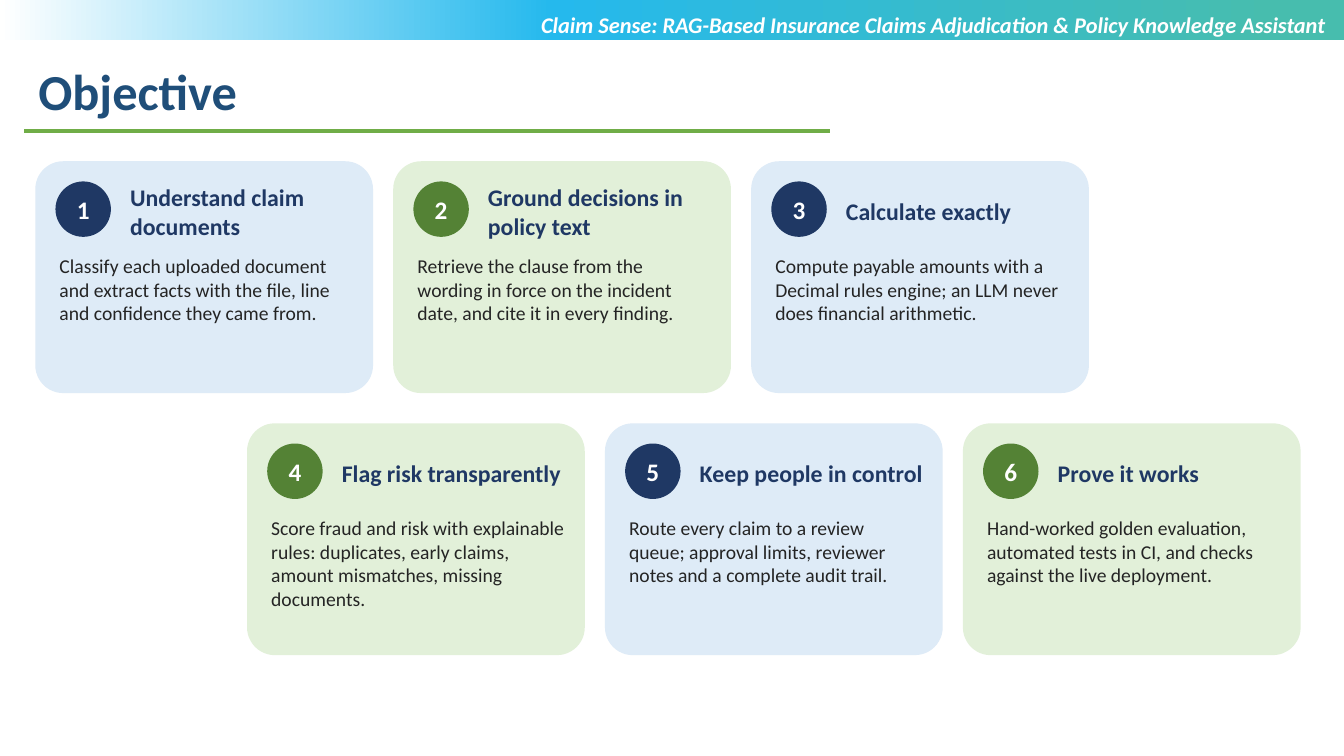
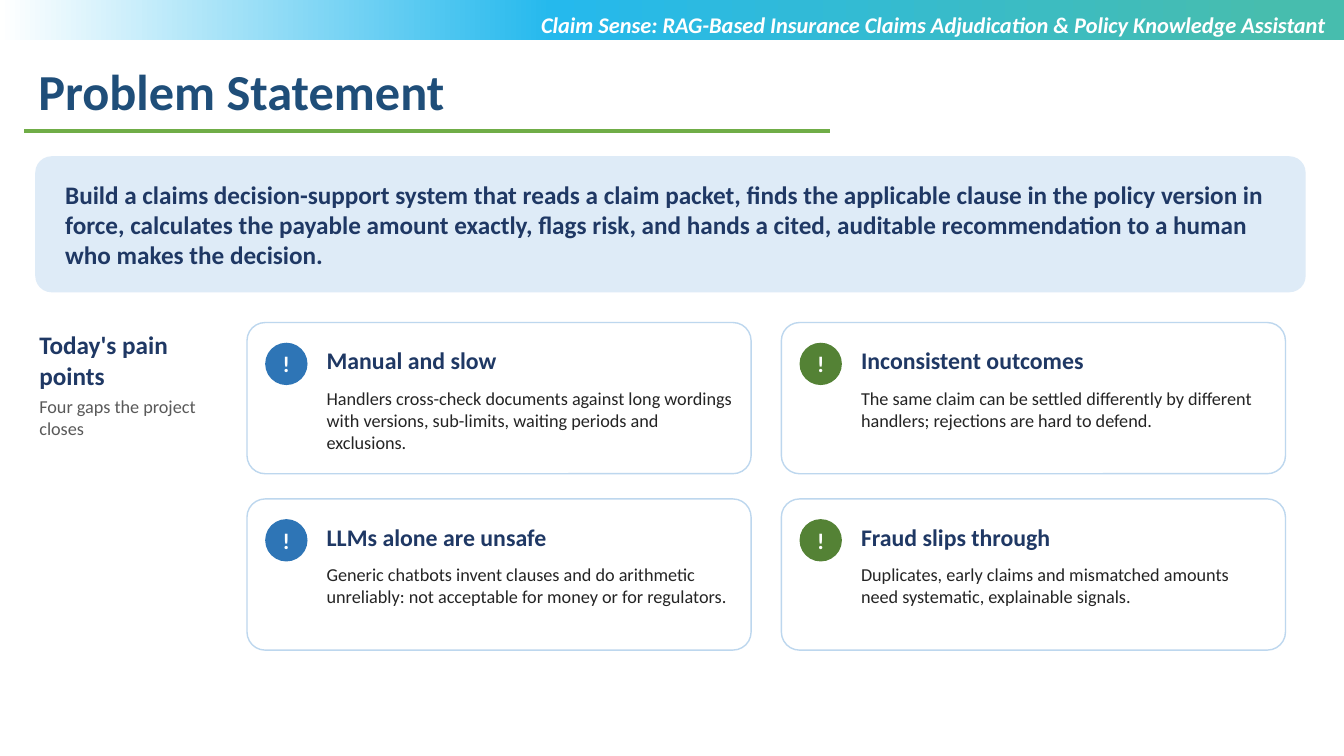
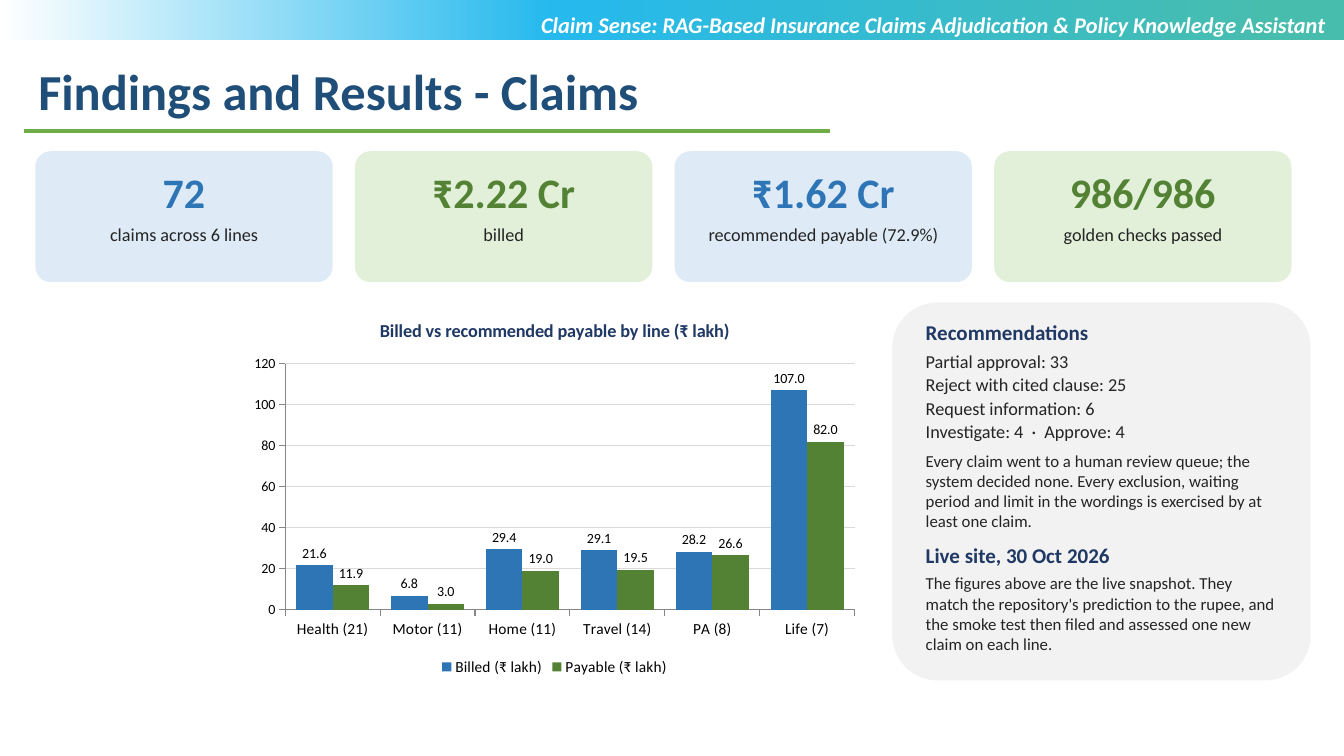
from typing import NamedTuple

from lxml import etree
from pptx import Presentation
from pptx.chart.data import CategoryChartData
from pptx.dml.color import RGBColor
from pptx.enum.chart import XL_CHART_TYPE, XL_LABEL_POSITION, XL_LEGEND_POSITION
from pptx.enum.shapes import MSO_CONNECTOR, MSO_SHAPE
from pptx.enum.text import MSO_ANCHOR, MSO_AUTO_SIZE, PP_ALIGN
from pptx.oxml.ns import qn
from pptx.util import Inches, Pt

RECT, ROUNDED, OVAL = MSO_SHAPE.RECTANGLE, MSO_SHAPE.ROUNDED_RECTANGLE, MSO_SHAPE.OVAL
LEFT, CENTER, RIGHT = PP_ALIGN.LEFT, PP_ALIGN.CENTER, PP_ALIGN.RIGHT
TOP, MIDDLE = MSO_ANCHOR.TOP, MSO_ANCHOR.MIDDLE
GROW, FIXED = MSO_AUTO_SIZE.SHAPE_TO_FIT_TEXT, MSO_AUTO_SIZE.NONE
COLUMNS = XL_CHART_TYPE.COLUMN_CLUSTERED
OUTSIDE_END = XL_LABEL_POSITION.OUTSIDE_END
LEGEND_BOTTOM = XL_LEGEND_POSITION.BOTTOM

FONT = "Calibri"
WHITE = RGBColor(0xFF, 0xFF, 0xFF)
BLACK = RGBColor(0x00, 0x00, 0x00)
INK = RGBColor(0x24, 0x24, 0x24)
GRAY = RGBColor(0x59, 0x59, 0x59)
GRID_GRAY = RGBColor(0xD9, 0xD9, 0xD9)
PANEL_GRAY = RGBColor(0xF2, 0xF2, 0xF2)
TITLE_BLUE = RGBColor(0x1F, 0x4E, 0x79)
NAVY = RGBColor(0x1F, 0x38, 0x64)
BLUE = RGBColor(0x2E, 0x75, 0xB6)
SKY = RGBColor(0xBD, 0xD7, 0xEE)
PALE_BLUE = RGBColor(0xDE, 0xEB, 0xF7)
GREEN = RGBColor(0x54, 0x82, 0x35)
PALE_GREEN = RGBColor(0xE2, 0xF0, 0xD9)
RULE_GREEN = RGBColor(0x70, 0xAD, 0x47)
BAND_STOPS = ((5, "47BDAE"), (59, "25B9ED"), (100, "FFFFFF"))

PROJECT = "Claim Sense: RAG-Based Insurance Claims Adjudication & Policy Knowledge Assistant"
TIGHT = (0.04, 0.02)
SHAPE_INSETS = (0.08, 0.04)
DEFAULT_INSETS = (0.1, 0.05)

OBJECTIVES = [
    ("Understand claim documents",
     "Classify each uploaded document and extract facts with the file, line and "
     "confidence they came from."),
    ("Ground decisions in policy text",
     "Retrieve the clause from the wording in force on the incident date, and cite it "
     "in every finding."),
    ("Calculate exactly",
     "Compute payable amounts with a Decimal rules engine; an LLM never does financial "
     "arithmetic."),
    ("Flag risk transparently",
     "Score fraud and risk with explainable rules: duplicates, early claims, amount "
     "mismatches, missing documents."),
    ("Keep people in control",
     "Route every claim to a review queue; approval limits, reviewer notes and a "
     "complete audit trail."),
    ("Prove it works",
     "Hand-worked golden evaluation, automated tests in CI, and checks against the live "
     "deployment."),
]
PROBLEM = (
    "Build a claims decision-support system that reads a claim packet, finds the "
    "applicable clause in the policy version in force, calculates the payable amount "
    "exactly, flags risk, and hands a cited, auditable recommendation to a human who "
    "makes the decision.")
PAIN_POINTS = [
    ("Manual and slow",
     "Handlers cross-check documents against long wordings with versions, sub-limits, "
     "waiting periods and exclusions."),
    ("Inconsistent outcomes",
     "The same claim can be settled differently by different handlers; rejections are "
     "hard to defend."),
    ("LLMs alone are unsafe",
     "Generic chatbots invent clauses and do arithmetic unreliably: not acceptable for "
     "money or for regulators."),
    ("Fraud slips through",
     "Duplicates, early claims and mismatched amounts need systematic, explainable "
     "signals."),
]
METRICS = [
    ("72", "claims across 6 lines"),
    ("₹2.22 Cr", "billed"),
    ("₹1.62 Cr", "recommended payable (72.9%)"),
    ("986/986", "golden checks passed"),
]
CLAIM_LINES = ["Health (21)", "Motor (11)", "Home (11)", "Travel (14)", "PA (8)", "Life (7)"]
CLAIM_AMOUNTS = [
    ("Billed (₹ lakh)", BLUE, (21.6, 6.8, 29.4, 29.1, 28.2, 107)),
    ("Payable (₹ lakh)", GREEN, (11.9, 3, 19, 19.5, 26.6, 82)),
]


class Para(NamedTuple):
    text: str
    size: float
    color: RGBColor = INK
    bold: bool = False
    italic: bool = False
    after: float = 0


RECOMMENDATIONS = [
    Para("Recommendations", 15, NAVY, True, after=4),
    Para("Partial approval: 33", 13, after=1),
    Para("Reject with cited clause: 25", 13, after=1),
    Para("Request information: 6", 13, after=1),
    Para("Investigate: 4  ·  Approve: 4", 13, after=6),
    Para("Every claim went to a human review queue; the system decided none. Every "
         "exclusion, waiting period and limit in the wordings is exercised by at least "
         "one claim.", 12, after=8),
    Para("Live site, 30 Oct 2026", 15, NAVY, True, after=4),
    Para("The figures above are the live snapshot. They match the repository's "
         "prediction to the rupee, and the smoke test then filed and assessed one new "
         "claim on each line.", 12),
]


def inches(*lengths):
    return [Inches(length) for length in lengths]


def style_font(font, size, color, bold=False, italic=False):
    font.name, font.size = FONT, Pt(size)
    font.bold, font.italic = bold, italic
    font.color.rgb = color


def write(frame, paras, align=LEFT, anchor=TOP, insets=SHAPE_INSETS, fit=FIXED):
    frame.word_wrap = True
    frame.auto_size = fit
    frame.vertical_anchor = anchor
    frame.margin_left = frame.margin_right = Inches(insets[0])
    frame.margin_top = frame.margin_bottom = Inches(insets[1])
    for index, para in enumerate(paras):
        paragraph = frame.add_paragraph() if index else frame.paragraphs[0]
        paragraph.alignment = align
        if para.after:
            paragraph.space_after = Pt(para.after)
        run = paragraph.add_run()
        run.text = para.text
        style_font(run.font, para.size, para.color, para.bold, para.italic)


def add_label(slide, box, *paras, align=LEFT, anchor=TOP, insets=TIGHT):
    label = slide.shapes.add_textbox(*inches(*box))
    write(label.text_frame, paras, align, anchor, insets, GROW)


def add_plain(slide, kind, box, fill, outline=None):
    """Add a shadowless shape with a solid fill and an optional thin outline."""
    shape = slide.shapes.add_shape(kind, *inches(*box))
    shape.shadow.inherit = False
    shape.fill.solid()
    shape.fill.fore_color.rgb = fill
    if outline is None:
        shape.line.fill.background()
    else:
        shape.line.color.rgb = outline
        shape.line.width = Pt(1)
    if kind == ROUNDED:
        shape.adjustments[0] = 0.12
    return shape


def add_badge(slide, left, top, diameter, mark, size, fill):
    badge = add_plain(slide, OVAL, (left, top, diameter, diameter), fill)
    write(badge.text_frame, [Para(mark, size, WHITE, True)], CENTER, MIDDLE)


def move_band_to_master(prs, slide):
    """Draw the gradient band on a slide, then hand it to the master."""
    band = add_plain(slide, RECT, (0, 0, 13.33, 0.4), WHITE)
    band.fill.gradient()
    band.fill.gradient_angle = 180
    stops = band.element.find(".//" + qn("a:gsLst"))
    for stop in list(stops):
        stops.remove(stop)
    for percent, color in BAND_STOPS:
        stop = etree.SubElement(stops, qn("a:gs"), pos=str(percent * 1000))
        etree.SubElement(stop, qn("a:srgbClr"), val=color)
    band.element.find(".//" + qn("p:cNvPr")).set("id", "100")
    prs.slide_master.element.cSld.spTree.insert(2, band.element)


def add_titled_slide(prs, title):
    slide = prs.slides.add_slide(prs.slide_layouts[5])
    heading = slide.shapes.title
    heading.left, heading.top, heading.width, heading.height = inches(0.28, 0.55, 11.62, 0.71)
    write(heading.text_frame, [Para(title, 36, TITLE_BLUE, True)],
          insets=DEFAULT_INSETS, fit=GROW)
    rule = slide.shapes.add_connector(MSO_CONNECTOR.STRAIGHT, *inches(0.24, 1.3, 8.23, 1.3))
    rule.line.color.rgb = RULE_GREEN
    rule.line.width = Pt(2.25)
    etree.SubElement(rule.element.spPr, qn("a:effectLst"))
    add_label(slide, (3.4, 0.06, 9.85, 0.71), Para(PROJECT, 16, WHITE, True, True),
              align=RIGHT, insets=DEFAULT_INSETS)
    return slide


def add_objective(slide, left, top, number, heading, detail):
    fill, accent = (PALE_BLUE, NAVY) if number % 2 else (PALE_GREEN, GREEN)
    add_plain(slide, ROUNDED, (left, top, 3.35, 2.3), fill)
    add_badge(slide, left + 0.2, top + 0.2, 0.55, str(number), 18, accent)
    add_label(slide, (left + 0.9, top + 0.22, 2.3, 0.55), Para(heading, 17, NAVY, True),
              anchor=MIDDLE)
    add_label(slide, (left + 0.2, top + 0.9, 3, 1.35), Para(detail, 14))


def add_pain_point(slide, left, top, accent, heading, detail):
    add_plain(slide, ROUNDED, (left, top, 5, 1.5), WHITE, SKY)
    add_badge(slide, left + 0.18, top + 0.2, 0.42, "!", 16, accent)
    add_label(slide, (left + 0.75, top + 0.15, 4.1, 0.45), Para(heading, 17, NAVY, True),
              anchor=MIDDLE)
    add_label(slide, (left + 0.75, top + 0.62, 4.1, 0.85), Para(detail, 13))


def add_metric(slide, left, top, fill, accent, value, caption):
    add_plain(slide, ROUNDED, (left, top, 2.95, 1.3), fill)
    add_label(slide, (left + 0.1, top + 0.05, 2.75, 0.7), Para(value, 30, accent, True),
              align=CENTER, anchor=MIDDLE)
    add_label(slide, (left + 0.1, top + 0.7, 2.75, 0.5), Para(caption, 13), align=CENTER)


def add_claims_chart(slide, box):
    data = CategoryChartData(number_format="0.0")
    data.categories = CLAIM_LINES
    for name, _, amounts in CLAIM_AMOUNTS:
        data.add_series(name, amounts)
    chart = slide.shapes.add_chart(COLUMNS, *inches(*box), data).chart
    style_font(chart.font, 18, BLACK)

    chart.has_title = True
    title_run = chart.chart_title.text_frame.paragraphs[0].add_run()
    title_run.text = "Billed vs recommended payable by line (₹ lakh)"
    style_font(title_run.font, 13, NAVY, True)

    chart.has_legend = True
    chart.legend.position = LEGEND_BOTTOM
    chart.legend.include_in_layout = False
    style_font(chart.legend.font, 11, BLACK)

    style_font(chart.category_axis.tick_labels.font, 11, BLACK)
    amount_axis = chart.value_axis
    style_font(amount_axis.tick_labels.font, 10, BLACK)
    amount_axis.tick_labels.number_format = "General"
    amount_axis.tick_labels.number_format_is_linked = False
    amount_axis.major_gridlines.format.line.color.rgb = GRID_GRAY
    amount_axis.major_gridlines.format.line.width = Pt(0.75)

    plot = chart.plots[0]
    plot.gap_width = 60
    plot.vary_by_categories = False
    for series, (_, color, _) in zip(plot.series, CLAIM_AMOUNTS):
        series.format.fill.solid()
        series.format.fill.fore_color.rgb = color
        labels = series.data_labels
        labels.show_value = True
        labels.position = OUTSIDE_END
        labels.number_format = "0.0"
        labels.number_format_is_linked = False
        style_font(labels.font, 10, BLACK)


def build_objective(prs):
    slide = add_titled_slide(prs, "Objective")
    move_band_to_master(prs, slide)
    for index, (heading, detail) in enumerate(OBJECTIVES):
        row, column = divmod(index, 3)
        add_objective(slide, 0.35 + 2.1 * row + 3.55 * column, 1.6 + 2.6 * row,
                      index + 1, heading, detail)


def build_problem(prs):
    slide = add_titled_slide(prs, "Problem Statement")
    banner = add_plain(slide, ROUNDED, (0.35, 1.55, 12.6, 1.35), PALE_BLUE)
    write(banner.text_frame, [Para(PROBLEM, 18, NAVY, True)], anchor=MIDDLE,
          insets=(0.25, 0.04))
    for index, (heading, detail) in enumerate(PAIN_POINTS):
        row, column = divmod(index, 2)
        add_pain_point(slide, 2.45 + 5.3 * column, 3.2 + 1.75 * row,
                       (BLUE, GREEN)[column], heading, detail)
    add_label(slide, (0.35, 3.25, 1.95, 2.2),
              Para("Today's pain points", 18, NAVY, True, after=4),
              Para("Four gaps the project closes", 13, GRAY, after=6))


def build_findings(prs):
    slide = add_titled_slide(prs, "Findings and Results - Claims")
    for index, (value, caption) in enumerate(METRICS):
        fill, accent = ((PALE_BLUE, BLUE), (PALE_GREEN, GREEN))[index % 2]
        add_metric(slide, 0.35 + 3.17 * index, 1.5, fill, accent, value, caption)
    add_claims_chart(slide, (2.4, 3, 6.2, 3.75))
    panel = add_plain(slide, ROUNDED, (8.85, 3, 4.15, 3.75), PANEL_GRAY)
    write(panel.text_frame, RECOMMENDATIONS, insets=(0.2, 0.04))


def main():
    prs = Presentation()
    prs.slide_width, prs.slide_height = inches(13.33, 7.5)
    build_objective(prs)
    build_problem(prs)
    build_findings(prs)
    prs.save("out.pptx")


if __name__ == "__main__":
    main()
